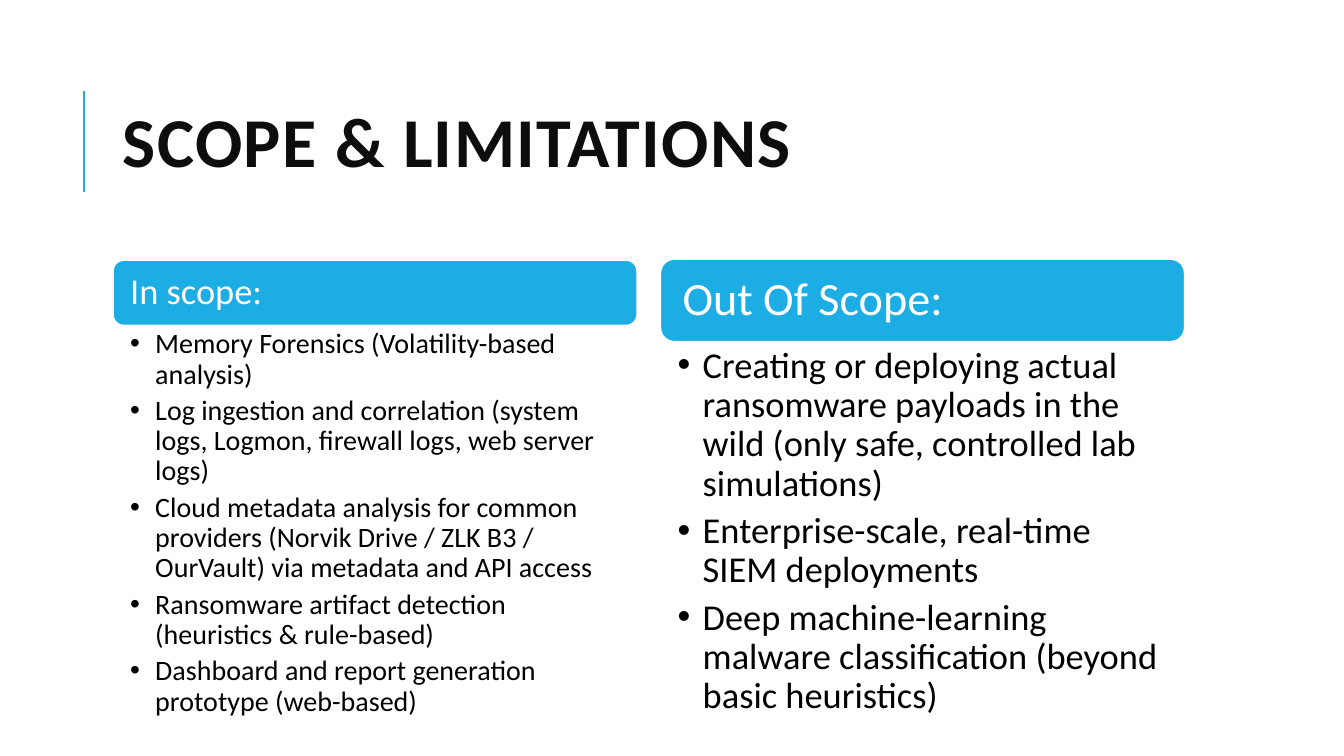
from dataclasses import dataclass

from lxml import etree
from pptx import Presentation
from pptx.dml.color import RGBColor
from pptx.enum.shapes import MSO_CONNECTOR, MSO_SHAPE
from pptx.enum.text import MSO_ANCHOR, PP_ALIGN
from pptx.oxml.ns import qn
from pptx.util import Inches, Pt

STRAIGHT = MSO_CONNECTOR.STRAIGHT
ROUNDED = MSO_SHAPE.ROUNDED_RECTANGLE
MIDDLE, TOP = MSO_ANCHOR.MIDDLE, MSO_ANCHOR.TOP
LEFT = PP_ALIGN.LEFT

COLORS = {"accent": "1CADE4", "title": "0D0D0D", "body": "000000", "white": "FFFFFF"}
FONT = "Calibri"

# Two-column grid, in inches
SLIDE_W, SLIDE_H = 13.33, 7.5
GRID_LEFT, COLUMN_W, GUTTER = 1.12, 5.2, 0.23
GRID_W = 2 * COLUMN_W + GUTTER
GRID_BOTTOM = 6.83
RULE_X, RULE_TOP, RULE_BOTTOM = 0.83, 0.9, 1.9
TITLE_TOP, TITLE_H = 0.64, 1.64
INDENT = 0.25


@dataclass(frozen=True)
class Panel:
    heading: str
    heading_size: int
    heading_inset: float
    top: float
    heading_h: float
    item_size: int
    items: tuple[str, ...]


PANELS = (
    Panel("In scope:", 26, 0.14, 2.58, 0.65, 20, (
        "Memory Forensics (Volatility-based analysis)",
        "Log ingestion and correlation (system logs, Logmon, firewall logs, web server logs)",
        "Cloud metadata analysis for common providers (Norvik Drive / ZLK B3 / OurVault) "
        "via metadata and API access",
        "Ransomware artifact detection (heuristics & rule-based)",
        "Dashboard and report generation prototype (web-based)",
    )),
    Panel("Out Of Scope:", 33, 0.18, 2.57, 0.82, 26, (
        "Creating or deploying actual ransomware payloads in the wild "
        "(only safe, controlled lab simulations)",
        "Enterprise-scale, real-time SIEM deployments",
        "Deep machine-learning malware classification (beyond basic heuristics)",
    )),
)


def rgb(name: str) -> RGBColor:
    return RGBColor.from_string(COLORS[name])


def set_frame(frame, anchor, left: float, top: float, right: float, bottom: float) -> None:
    frame.word_wrap = True
    frame.vertical_anchor = anchor
    frame.margin_left, frame.margin_top = Inches(left), Inches(top)
    frame.margin_right, frame.margin_bottom = Inches(right), Inches(bottom)


def write(paragraph, text: str, size: int, color: str, spacing: float, bold: bool = False):
    paragraph.alignment = LEFT
    paragraph.line_spacing = spacing
    run = paragraph.add_run()
    run.text = text
    run.font.name, run.font.size, run.font.bold = FONT, Pt(size), bold
    run.font.color.rgb = rgb(color)
    return run


def add_bullet(paragraph) -> None:
    properties = paragraph._p.get_or_add_pPr()
    properties.set("marL", str(Inches(INDENT)))
    properties.set("indent", str(-Inches(INDENT)))
    etree.SubElement(properties, qn("a:buFont")).set("typeface", "Arial")
    etree.SubElement(properties, qn("a:buChar")).set("char", "•")


def draw_title(slide, text: str) -> None:
    rule = slide.shapes.add_connector(
        STRAIGHT, Inches(RULE_X), Inches(RULE_BOTTOM), Inches(RULE_X), Inches(RULE_TOP))
    rule.line.color.rgb = rgb("accent")
    rule.line.width = Pt(1.5)
    etree.SubElement(rule._element.spPr, qn("a:effectLst"))

    title = slide.shapes.add_textbox(
        Inches(GRID_LEFT), Inches(TITLE_TOP), Inches(GRID_W), Inches(TITLE_H))
    set_frame(title.text_frame, MIDDLE, 0.1, 0.05, 0.1, 0.05)
    run = write(title.text_frame.paragraphs[0], text, 50, "title", 0.8, bold=True)
    run._r.get_or_add_rPr().set("spc", "100")


def draw_panel(slide, column: int, panel: Panel) -> None:
    left = Inches(GRID_LEFT + column * (COLUMN_W + GUTTER))

    # Heading bar
    heading = slide.shapes.add_shape(
        ROUNDED, left, Inches(panel.top), Inches(COLUMN_W), Inches(panel.heading_h))
    heading.shadow.inherit = False
    heading.fill.solid()
    heading.fill.fore_color.rgb = rgb("accent")
    heading.line.color.rgb = rgb("white")
    heading.line.width = Pt(1.25)
    set_frame(heading.text_frame, MIDDLE, *[panel.heading_inset] * 4)
    write(heading.text_frame.paragraphs[0], panel.heading, panel.heading_size, "white", 0.9)

    # Bulleted items; insets and gaps grow with the text size
    items_top = panel.top + panel.heading_h
    items = slide.shapes.add_textbox(
        left, Inches(items_top), Inches(COLUMN_W), Inches(GRID_BOTTOM - items_top))
    frame = items.text_frame
    edge = panel.item_size / 500
    set_frame(frame, TOP, 0.17, edge, panel.item_size / 100, edge)
    for index, item in enumerate(panel.items):
        paragraph = frame.add_paragraph() if index else frame.paragraphs[0]
        add_bullet(paragraph)
        paragraph.space_after = Pt(0.22 * panel.item_size)
        write(paragraph, item, panel.item_size, "body", 0.9)


def main() -> None:
    deck = Presentation()
    deck.slide_width, deck.slide_height = Inches(SLIDE_W), Inches(SLIDE_H)
    slide = deck.slides.add_slide(deck.slide_layouts[6])
    draw_title(slide, "SCOPE & LIMITATIONS")
    for column, panel in enumerate(PANELS):
        draw_panel(slide, column, panel)
    deck.save("out.pptx")


if __name__ == "__main__":
    main()
